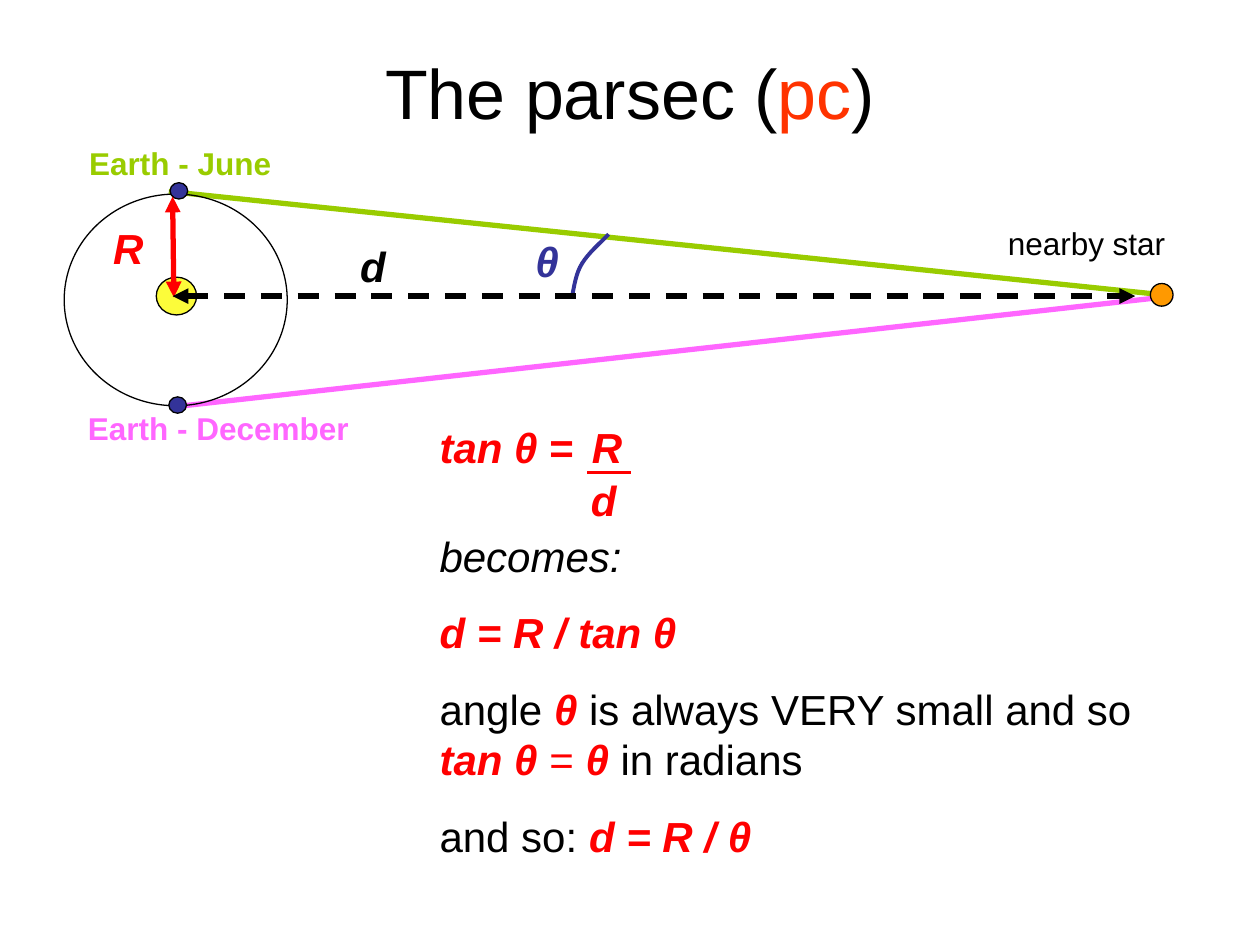
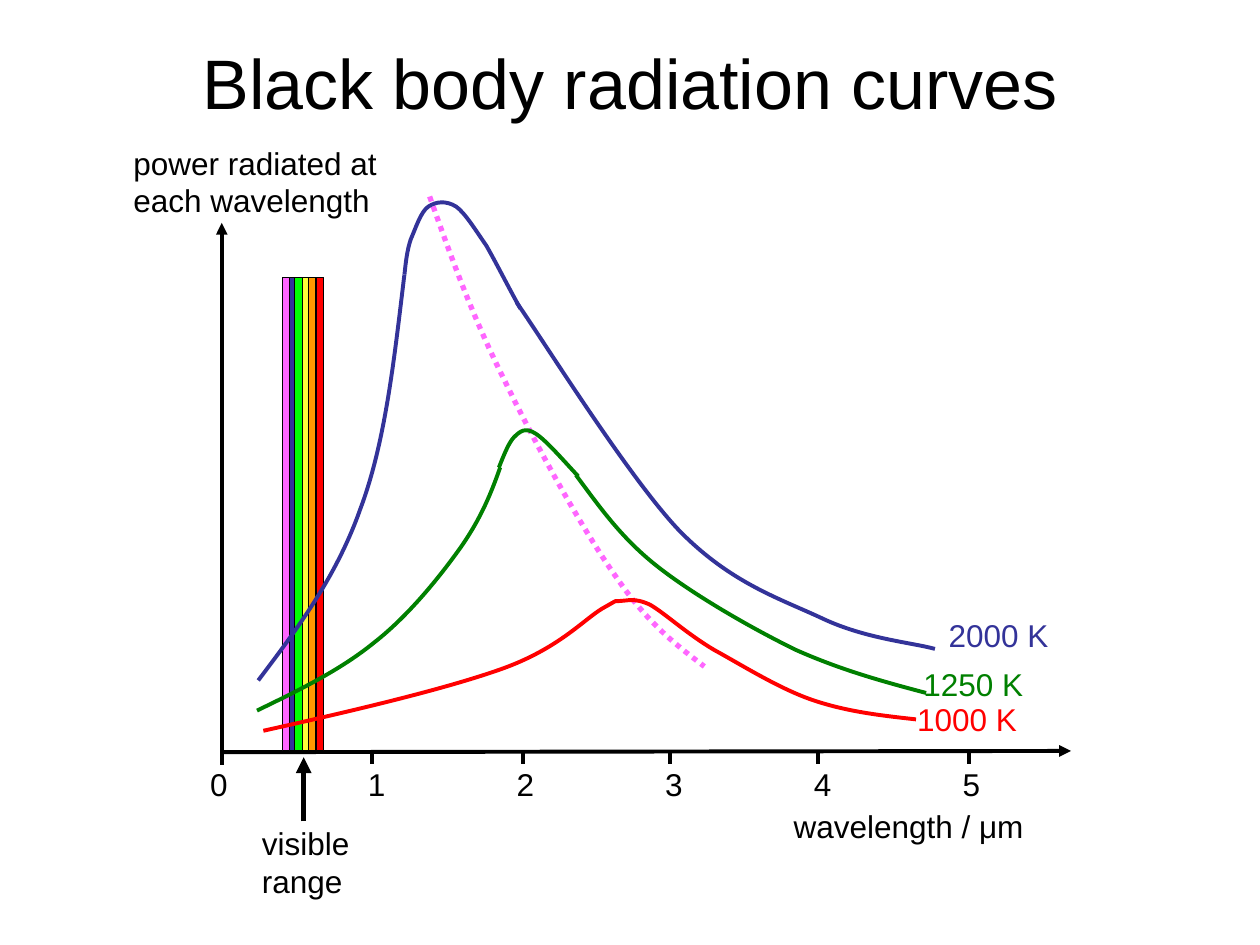
from lxml import etree
from pptx import Presentation
from pptx.dml.color import RGBColor
from pptx.enum.dml import MSO_LINE
from pptx.enum.shapes import MSO_CONNECTOR, MSO_SHAPE
from pptx.enum.text import MSO_ANCHOR, PP_ALIGN
from pptx.oxml.ns import qn
from pptx.util import Pt

PX = 9144  # 100 px to the inch
FONT = "Arial"
BLACK, RED, BLUE, GREEN = "000000", "FF0000", "333399", "008000"
LIME, PINK, YELLOW, ORANGE = "99CC00", "FF66FF", "FCFC3A", "FF9900"
DASH, DOT = MSO_LINE.DASH, MSO_LINE.ROUND_DOT
STRAIGHT, OVAL, RECT = MSO_CONNECTOR.STRAIGHT, MSO_SHAPE.OVAL, MSO_SHAPE.RECTANGLE
MIDDLE, CENTER = MSO_ANCHOR.MIDDLE, PP_ALIGN.CENTER

PLAIN = {"size": 24}
ITALIC = {"size": 24, "italic": True}
SYMBOL = {"size": 24, "bold": True, "italic": True}
RED_SYMBOL = {**SYMBOL, "color": RED}

# Slide 1: (from, to, colour, width, options)
PARSEC_TITLE = [("The parsec (", {}), ("pc", {"color": "FF3300"}), (")", {})]
SIGHT_LINES = [
    ((134, 152), (923, 234), LIME, 3, {}),
    ((137, 323), (931, 235), PINK, 3, {}),
]
BODIES = [  # box, fill
    ((124, 220, 32, 30), YELLOW),
    ((51, 154, 177, 168), None),
    ((913, 225, 18, 18), ORANGE),
    ((134, 315, 14, 13), BLUE),
    ((135, 145, 14, 13), BLUE),
]
DISTANCES = [
    ((137, 156), (138, 236), RED, 3, {"head": True, "tail": True}),
    ((137, 235), (901, 235), BLACK, 3, {"dash": DASH, "head": True, "tail": True}),
    ((466, 375), (501, 375), RED, 2.25, {}),
]
ANGLE_ARC = [(483, 186), (475, 194, 467, 201, 462, 209), (457, 217, 456, 226, 454, 235)]
PARSEC_TEXTS = [  # box, paragraphs of runs
    ((790, 173, 153, 40), [[("nearby star", {})]]),
    ((60, 320, 233, 40), [[("Earth - December", {"bold": True, "color": PINK})]]),
    ((61, 109, 168, 40), [[("Earth - June", {"bold": True, "color": LIME})]]),
    ((80, 172, 63, 50), [[("R", RED_SYMBOL)]]),
    ((276, 186, 59, 50), [[("d", SYMBOL)]]),
    ((415, 182, 51, 50), [[("θ", {**SYMBOL, "color": BLUE})]]),
    ((339, 330, 132, 50), [[("tan θ", RED_SYMBOL),
                            (" =", {"size": 24, "bold": True, "color": RED})]]),
    ((460, 330, 86, 50), [[("R", RED_SYMBOL)]]),
    ((459, 372, 59, 50), [[("d", RED_SYMBOL)]]),
    ((339, 416, 595, 273), [
        [("becomes:", ITALIC)],
        [("d = R / tan θ", RED_SYMBOL)],
        [("angle ", PLAIN), ("θ", RED_SYMBOL), (" is always VERY small and so ", PLAIN),
         ("tan θ", RED_SYMBOL), (" = ", {**PLAIN, "color": RED}), ("θ", RED_SYMBOL),
         (" in radians", PLAIN)],
        [("and so: ", PLAIN), ("d = R / θ", RED_SYMBOL)],
    ]),
]

# Slide 2
CURVES_TITLE = [("Black body radiation curves", {})]
AXES = [
    ((176, 607), (176, 177), BLACK, 2.25, {"tail": True}),
    ((176, 597), (850, 596), BLACK, 2.25, {"tail": True}),
]
VISIBLE_ARROW = ((241, 652), (241, 601), BLACK, 3, {"tail": True})
TICKS = [295, 415, 532, 649, 769]
NUMBERS_BOX, FIRST_TAB, TAB_STEP = (157, 602, 701, 40), 132, 118
SPECTRUM_TOP, SPECTRUM_HEIGHT = 220, 376
SPECTRUM = [  # left, width, fill; later bands overlap earlier ones
    (226, 10, BLUE), (236, 10, YELLOW), (224, 6, PINK),
    (234, 6, "00FF00"), (245, 12, RED), (245, 6, ORANGE),
]
PEAK_LINE = [(341, 156), (358, 204, 375, 251, 400, 301),
             (424, 351, 462, 420, 489, 458), (515, 496, 537, 512, 559, 529)]
CURVES = [  # label, label box, colour, pieces
    ("2000 K", (743, 484, 105, 40), BLUE, [
        [(205, 540), (236, 499, 267, 458, 286, 404), (306, 351, 313, 284, 321, 218)],
        [(321, 218), (322, 209, 323, 199, 326, 190), (330, 181, 334, 168, 340, 164),
         (346, 160, 354, 159, 362, 164), (369, 169, 377, 182, 386, 195),
         (394, 209, 403, 227, 413, 245)],
        [(410, 240), (431, 270, 499, 379, 539, 421), (580, 463, 619, 475, 653, 491),
         (687, 507, 724, 510, 742, 515)],
    ]),
    ("1000 K", (718, 551, 105, 40), RED, [
        [(209, 580), (281, 564, 353, 547, 398, 531), (443, 515, 463, 492, 478, 483),
         (494, 474, 486, 478, 492, 477), (498, 477, 503, 474, 516, 480),
         (528, 487, 545, 503, 567, 516), (589, 528, 619, 547, 646, 556),
         (673, 565, 700, 568, 727, 571)],
    ]),
    ("1250 K", (723, 523, 105, 40), GREEN, [
        [(457, 377), (475, 401, 492, 426, 521, 449), (550, 472, 597, 499, 632, 516),
         (668, 532, 701, 541, 735, 550)],
        [(396, 371), (400, 361, 404, 351, 408, 347), (413, 342, 417, 339, 425, 344),
         (433, 349, 446, 364, 459, 378)],
        [(397, 371), (390, 391, 382, 411, 366, 434), (349, 458, 324, 489, 297, 510),
         (270, 532, 237, 548, 204, 564)],
    ]),
]
CURVES_TEXTS = [
    ((96, 109, 218, 70), [[("power radiated at each wavelength", {})]]),
    ((620, 636, 241, 40), [[("wavelength / μm", {})]]),
    ((198, 649, 101, 70), [[("visible range", {})]]),
]


def rgb(color):
    return RGBColor.from_string(color)


def emu(*lengths):
    return [round(v * PX) for v in lengths]


def style_line(line, color, width, dash=None, head=False, tail=False):
    line.color.rgb = rgb(color)
    line.width = Pt(width)
    if dash is not None:
        line.dash_style = dash
    ln = line._get_or_add_ln()
    for tag, wanted in (("a:headEnd", head), ("a:tailEnd", tail)):
        if wanted:
            etree.SubElement(ln, qn(tag), type="triangle")


def add_line(s, start, end, color, width, options):
    c = s.shapes.add_connector(STRAIGHT, *emu(*start, *end))
    style_line(c.line, color, width, **options)
    etree.SubElement(c._element.spPr, qn("a:effectLst"))


def add_preset(s, kind, box, fill):
    sp = s.shapes.add_shape(kind, *emu(*box))
    sp.shadow.inherit = False
    if fill:
        sp.fill.solid()
        sp.fill.fore_color.rgb = rgb(fill)
    else:
        sp.fill.background()
    style_line(sp.line, BLACK, 0.75)


def add_curve(s, path, color, width, dash=None):
    """Draw a start point followed by cubic Bézier segments."""
    start, *segments = path
    points = [emu(*seg[i:i + 2]) for seg in segments for i in (0, 2, 4)]
    builder = s.shapes.build_freeform(*emu(*start))
    builder.add_line_segments(points, close=False)
    sp = builder.convert_to_shape()
    # Each three line points become the two controls and the end of one curve.
    lines = list(sp._element.iter(qn("a:lnTo")))
    for i in range(0, len(lines), 3):
        first, *others = lines[i:i + 3]
        first.tag = qn("a:cubicBezTo")
        for line in others:
            first.append(line[0])
            line.getparent().remove(line)
    sp.shadow.inherit = False
    sp.fill.background()
    style_line(sp.line, color, width, dash)


def add_text(s, box, paragraphs, align=None, anchor=None, tabs=()):
    tf = s.shapes.add_textbox(*emu(*box)).text_frame
    tf.word_wrap = True
    if anchor is not None:
        tf.vertical_anchor = anchor
    for i, runs in enumerate(paragraphs):
        p = tf.add_paragraph() if i else tf.paragraphs[0]
        if tabs:
            tab_list = etree.SubElement(p._p.get_or_add_pPr(), qn("a:tabLst"))
            for pos in tabs:
                etree.SubElement(tab_list, qn("a:tab"), pos=str(pos), algn="ctr")
        if i:
            p.space_before = Pt(15)
        if align is not None:
            p.alignment = align
        for text, style in runs:
            r = p.add_run()
            r.text = text
            fmt = {"name": FONT, "size": 18, "color": BLACK, **style}
            r.font.color.rgb = rgb(fmt.pop("color"))
            fmt["size"] = Pt(fmt["size"])
            for key, value in fmt.items():
                setattr(r.font, key, value)


def add_slide(prs, title, top):
    s = prs.slides.add_slide(prs.slide_layouts[6])
    runs = [(text, {"size": 40, **style}) for text, style in title]
    add_text(s, (50, top, 900, 85), [runs], CENTER, MIDDLE)
    return s


def build_parsec(prs):
    s = add_slide(prs, PARSEC_TITLE, 30)
    for line in SIGHT_LINES:
        add_line(s, *line)
    for box, fill in BODIES:
        add_preset(s, OVAL, box, fill)
    add_curve(s, ANGLE_ARC, BLUE, 2.25)
    for line in DISTANCES:
        add_line(s, *line)
    for box, paragraphs in PARSEC_TEXTS:
        add_text(s, box, paragraphs)


def build_curves(prs):
    s = add_slide(prs, CURVES_TITLE, 22)
    for line in AXES:
        add_line(s, *line)
    for x in TICKS:
        add_line(s, (x, 598), (x, 606), BLACK, 2.25, {})
    numbers = "\t".join(str(i) for i in range(len(TICKS) + 1))
    tabs = emu(*(FIRST_TAB + i * TAB_STEP for i in range(len(TICKS))))
    add_text(s, NUMBERS_BOX, [[(numbers, {})]], tabs=tabs)
    add_curve(s, PEAK_LINE, PINK, 3, DOT)
    for left, width, fill in SPECTRUM:
        add_preset(s, RECT, (left, SPECTRUM_TOP, width, SPECTRUM_HEIGHT), fill)
    add_line(s, *VISIBLE_ARROW)
    for label, box, color, pieces in CURVES:
        for path in pieces:
            add_curve(s, path, color, 2.25)
        add_text(s, box, [[(label, {"color": color})]])
    for box, paragraphs in CURVES_TEXTS:
        add_text(s, box, paragraphs)


def main():
    prs = Presentation()
    prs.slide_width, prs.slide_height = emu(1000, 750)
    build_parsec(prs)
    build_curves(prs)
    prs.save("out.pptx")


if __name__ == "__main__":
    main()
